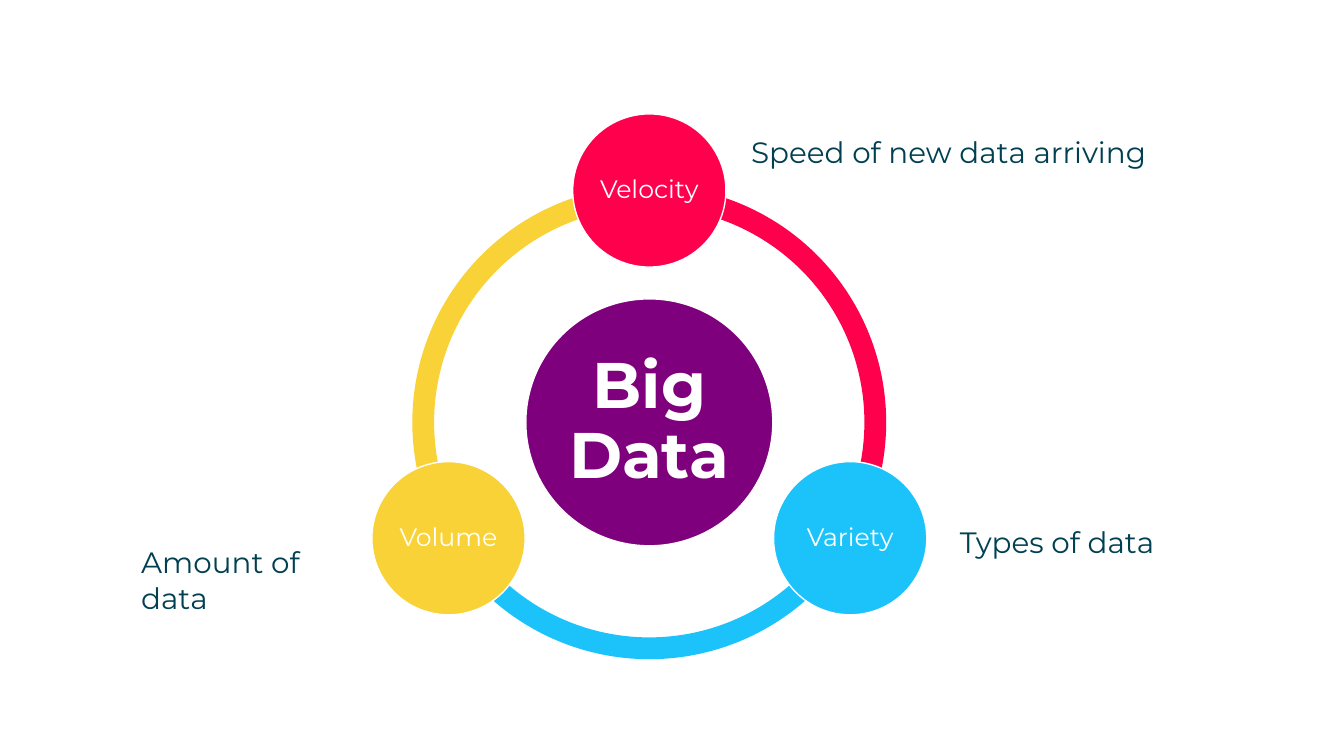
import math

import pptx
import pptx.dml.color
import pptx.enum.shapes
import pptx.enum.text
import pptx.util
from pptx.util import Inches

SHAPES = pptx.enum.shapes.MSO_SHAPE
FONT = "Montserrat"
WHITE, INK, PURPLE = "FFFFFF", "004050", "7F007D"
RED, BLUE, YELLOW = "FF004C", "1CC3FB", "F8D237"

CENTRE_X, CENTRE_Y = 6.44, 4.19
RING_SIZE, RING_THICKNESS = 4.7, 0.046
HUB_SIZE, NODE_SIZE = 2.45, 1.52
ORBIT = 2.3
ARC_SWEEP = 120
UNITS_PER_DEGREE = 0.6  # 60000ths of a degree, divided by 100000

# label, colour, angle in degrees clockwise from the right
NODES = [("Velocity", RED, 270), ("Variety", BLUE, 30), ("Volume", YELLOW, 150)]
# wording, left, top, width, height
NOTES = [
    ("Types of data", 9.39, 5.14, 2.62, 0.48),
    ("Speed of new data arriving", 7.32, 1.27, 5.58, 0.48),
    ("Amount of data", 1.27, 5.34, 2.35, 1.19),
]


def rgb(colour):
    return pptx.dml.color.RGBColor.from_string(colour)


def add_centred_shape(slide, kind, x, y, size, colour):
    """Add a square-framed shape whose middle is at x, y."""
    shape = slide.shapes.add_shape(
        kind, Inches(x - size / 2), Inches(y - size / 2), Inches(size), Inches(size))
    shape.shadow.inherit = False
    shape.fill.solid()
    shape.fill.fore_color.rgb = rgb(colour)
    shape.line.fill.background()
    return shape


def write_text(frame, text, size, colour, inset_x, inset_y, bold=False):
    frame.word_wrap = True
    frame.margin_left = frame.margin_right = Inches(inset_x)
    frame.margin_top = frame.margin_bottom = Inches(inset_y)
    frame.text = text
    paragraph = frame.paragraphs[0]
    font = paragraph.runs[0].font
    font.name, font.size, font.bold = FONT, pptx.util.Pt(size), bold
    font.color.rgb = rgb(colour)
    return paragraph


def add_arc(slide, colour, start):
    arc = add_centred_shape(slide, SHAPES.BLOCK_ARC, CENTRE_X, CENTRE_Y, RING_SIZE, colour)
    end = (start + ARC_SWEEP) % 360
    arc.adjustments[0] = start * UNITS_PER_DEGREE
    arc.adjustments[1] = end * UNITS_PER_DEGREE
    arc.adjustments[2] = RING_THICKNESS


def add_circle(slide, text, x, y, diameter, colour, size, inset, bold=False):
    circle = add_centred_shape(slide, SHAPES.OVAL, x, y, diameter, colour)
    circle.line.color.rgb = rgb(WHITE)
    circle.line.width = pptx.util.Pt(1)
    frame = circle.text_frame
    frame.vertical_anchor = pptx.enum.text.MSO_ANCHOR.MIDDLE
    label = write_text(frame, text, size, WHITE, inset, inset, bold)
    label.alignment = pptx.enum.text.PP_ALIGN.CENTER
    label.line_spacing = 0.9
    label.space_after = pptx.util.Pt(0.35 * size)


def add_note(slide, text, left, top, width, height):
    note = slide.shapes.add_textbox(
        Inches(left), Inches(top), Inches(width), Inches(height))
    write_text(note.text_frame, text, 21, INK, 0.13, 0.06)


def main():
    deck = pptx.Presentation()
    deck.slide_width, deck.slide_height = Inches(13.33), Inches(7.5)
    slide = deck.slides.add_slide(deck.slide_layouts[6])

    for _, colour, angle in reversed(NODES):
        add_arc(slide, colour, angle)
    add_circle(slide, "Big Data", CENTRE_X, CENTRE_Y, HUB_SIZE, PURPLE, 46, 0.06, bold=True)
    for label, colour, angle in NODES:
        x = CENTRE_X + ORBIT * math.cos(math.radians(angle))
        y = CENTRE_Y + ORBIT * math.sin(math.radians(angle))
        add_circle(slide, label, x, y, NODE_SIZE, colour, 18, 0.03)
    for note in NOTES:
        add_note(slide, *note)

    deck.save("out.pptx")


if __name__ == "__main__":
    main()
